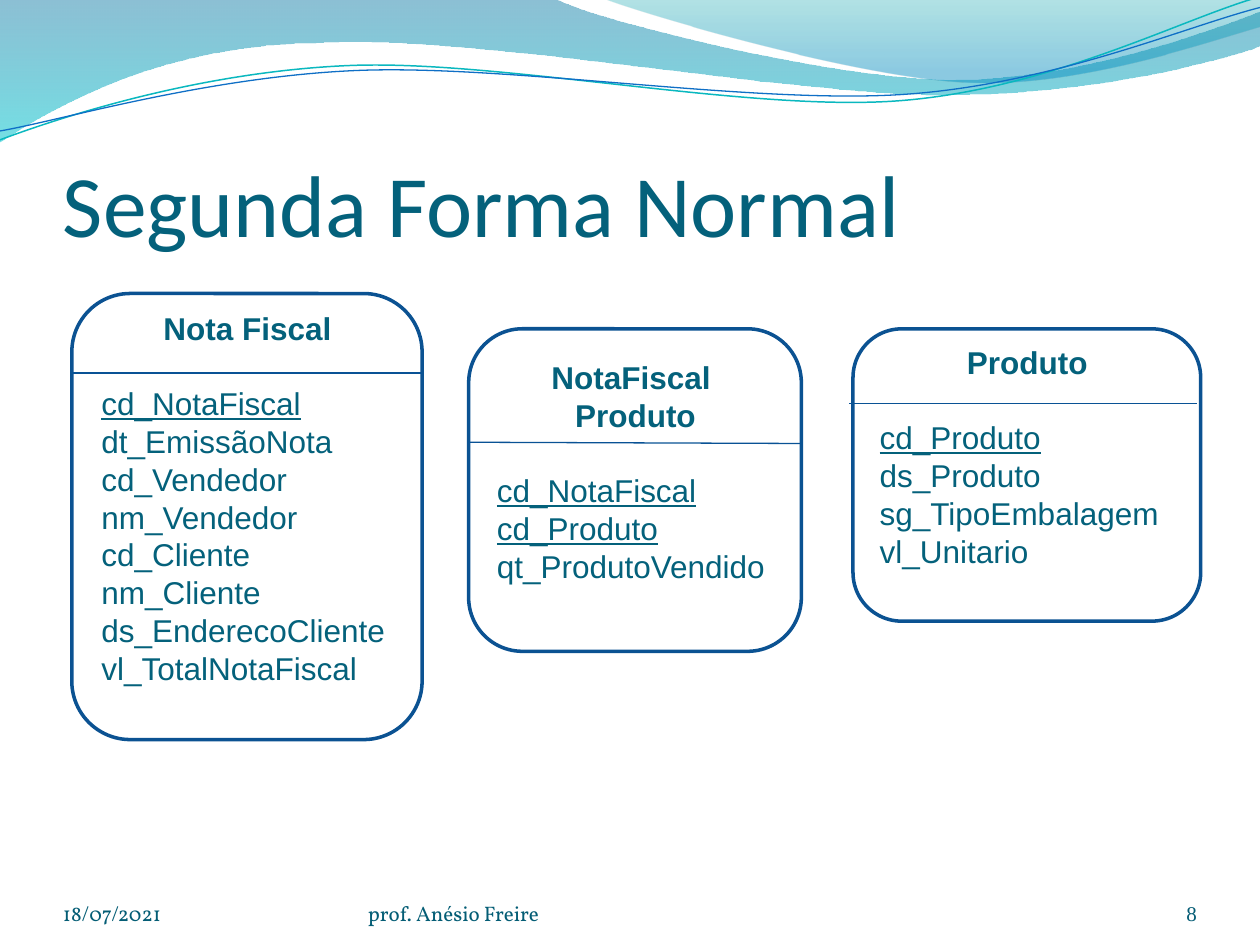
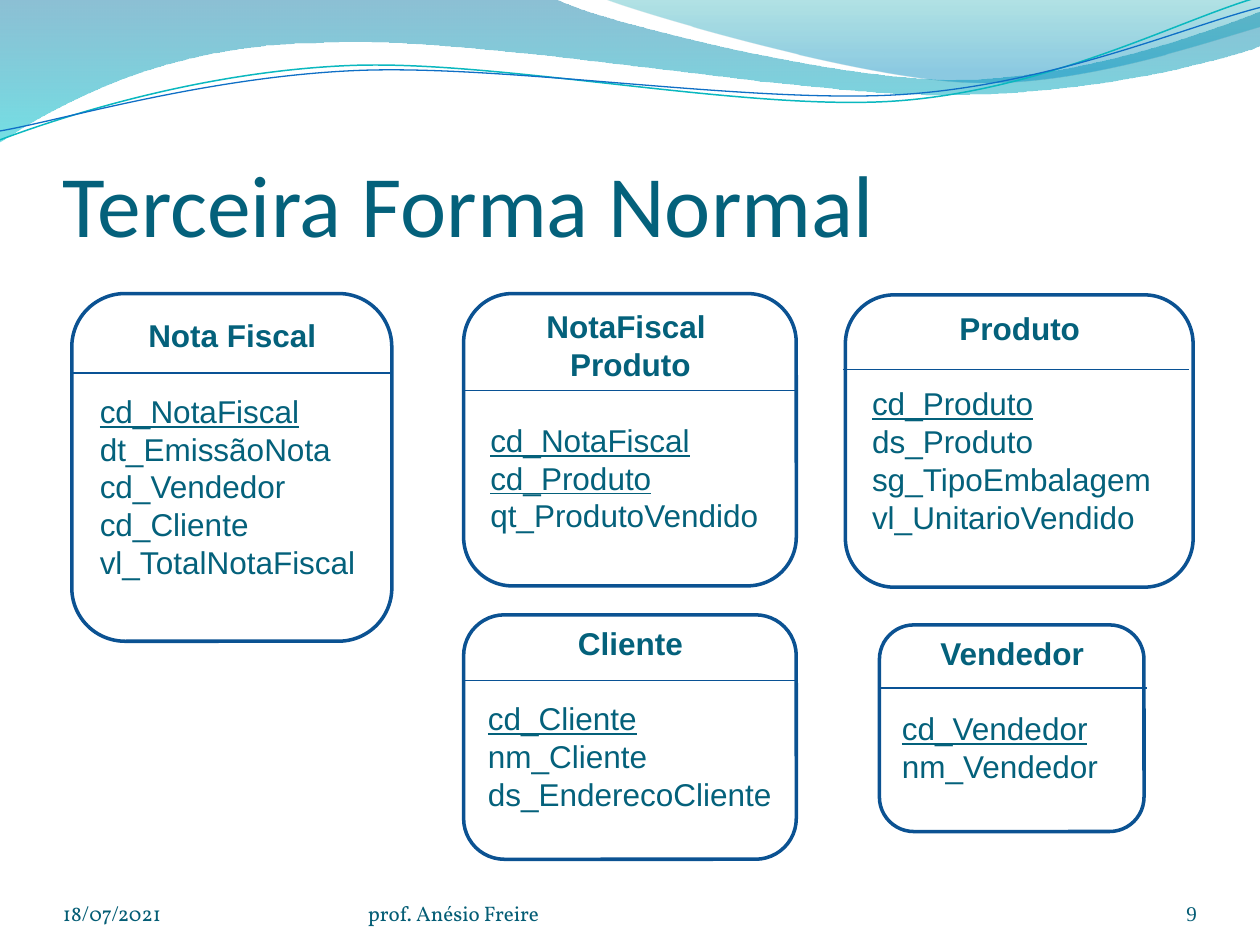
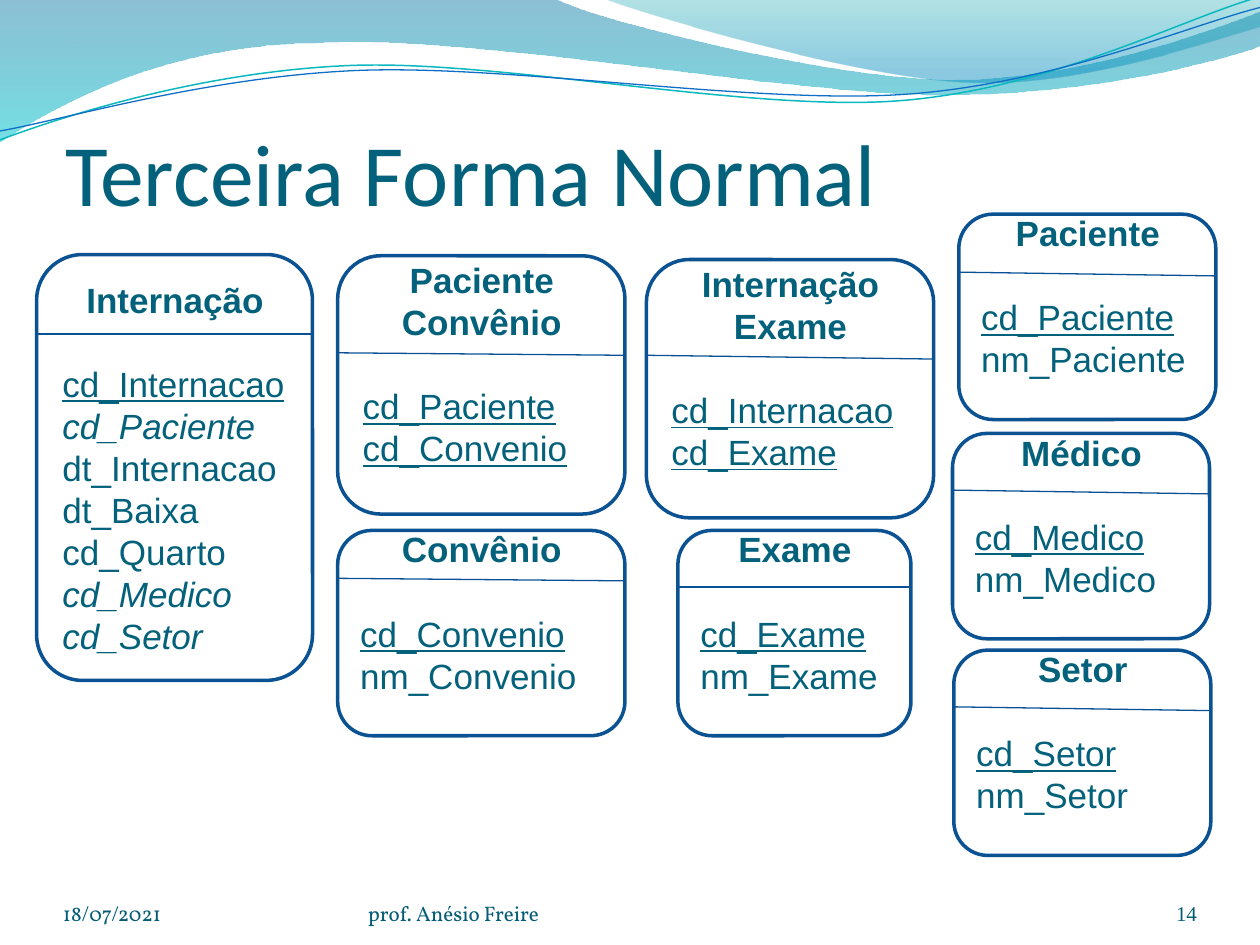
from dataclasses import dataclass
from math import cos, radians, sin

from pptx import Presentation
from pptx.dml.color import RGBColor
from pptx.enum.shapes import MSO_CONNECTOR, MSO_SHAPE
from pptx.enum.text import MSO_ANCHOR, PP_ALIGN
from pptx.oxml.ns import qn
from pptx.util import Inches, Pt
from lxml import etree

ROUND = MSO_SHAPE.ROUNDED_RECTANGLE
STRAIGHT = MSO_CONNECTOR.STRAIGHT
BOTTOM, MIDDLE = MSO_ANCHOR.BOTTOM, MSO_ANCHOR.MIDDLE
LEFT, CENTER, RIGHT = PP_ALIGN.LEFT, PP_ALIGN.CENTER, PP_ALIGN.RIGHT

TEAL = RGBColor(0x04, 0x61, 0x7B)
FOOT = RGBColor(0x04, 0x5D, 0x75)
COUNT = RGBColor(0x04, 0x5C, 0x75)
EDGE = RGBColor(0x0B, 0x52, 0x92)
RULE = RGBColor(0x09, 0x52, 0x95)
AQUA = RGBColor(0x0A, 0xB8, 0xBF)
BLUE = RGBColor(0x0F, 0x6F, 0xC6)
DEEP = RGBColor(0x00, 0x74, 0xA1)
CYAN = RGBColor(0x00, 0xC6, 0xCF)
SEA = RGBColor(0x00, 0xA1, 0xA9)
SKY = RGBColor(0x00, 0x8B, 0xBF)

TILT = 2.7  # degrees by which the thin waves lean to the left

Point = tuple[float, float]
Box = tuple[float, float, float, float]


@dataclass(frozen=True)
class Wave:
    """Outline whose steps hold one point (line) or three (curve)."""
    start: Point
    steps: tuple[tuple[Point, ...], ...]
    stops: tuple[tuple[float, RGBColor, int], ...] = ()  # place, colour, opacity
    line: RGBColor | None = None
    width: float = 0.75
    pivot: Point | None = None  # centre of a tilted wave


@dataclass(frozen=True)
class Entity:
    name: tuple[str, ...]
    box: Box
    rule: float  # height of the line under the name
    keys: tuple[str, ...]
    fields: tuple[str, ...] = ()
    links: tuple[str, ...] = ()  # fields set in italics
    drop: float = 0  # fall of the rule from left to right
    shift: float = 0  # sideways offset of the rule
    extra: float = 0  # added length of the rule
    tail: int = 1  # free lines below the fields


@dataclass(frozen=True)
class Page:
    title: str
    number: str
    size: int
    items: tuple[Entity, ...]
    spot: Point = (0.5, 0.77)


WAVES = (
    Wave((0, -0.01), (
        ((4.4, -0.01),),
        ((4.76, 0.17), (6.64, 0.63), (7.58, 0.63)),
        ((8.53, 0.63), (9.58, 0.26), (10, 0.09)),
        ((10.01, 0.36),),
        ((9.83, 0.44), (8.7, 0.76), (7.46, 0.75)),
        ((6.22, 0.75), (3.82, 0.28), (2.57, 0.34)),
        ((1.29, 0.35), (0.46, 0.83), (-0.01, 1.13)),
        ((0, -0.01),),
    ), stops=((0, DEEP, 45), (1, CYAN, 55))),
    Wave((4.79, -0.01), (
        ((5.09, 0.11), (6.82, 0.62), (7.69, 0.65)),
        ((8.56, 0.69), (9.61, 0.32), (10, 0.21)),
        ((10, 0),),
        ((4.79, -0.01),),
    ), stops=((0, SEA, 30), (0.8, SKY, 45))),
    Wave((0, 1.11), (
        ((0.48, 0.93), (1.58, 0.57), (2.77, 0.52)),
        ((3.95, 0.47), (5.93, 0.89), (7.13, 0.8)),
        ((8.33, 0.71), (9.38, 0.15), (9.98, -0.02)),
    ), line=AQUA, width=0.85, pivot=(4.99, 0.58)),
    Wave((0, 1.04), (
        ((0.47, 0.96), (1.64, 0.61), (2.83, 0.56)),
        ((4.03, 0.51), (5.97, 0.83), (7.17, 0.75)),
        ((8.36, 0.67), (9.41, 0.21), (10, 0.06)),
    ), line=BLUE, pivot=(5, 0.59)),
)

SALE = ("NotaFiscal ", "Produto")
SALE_KEYS = ("cd_NotaFiscal", "cd_Produto")
SOLD = ("qt_ProdutoVendido",)
GOODS = ("ds_Produto", "sg_TipoEmbalagem")
ISSUE = "dt_EmissãoNota cd_Vendedor"

PAGES = (
    Page("Segunda Forma Normal", "8", 18, (
        Entity(("Nota Fiscal",), (0.57, 2.33, 2.78, 3.54), 2.96, ("cd_NotaFiscal",),
               (ISSUE, "nm_Vendedor", "cd_Cliente", "nm_Cliente",
                "ds_EnderecoCliente", "vl_TotalNotaFiscal")),
        Entity(SALE, (3.72, 2.61, 2.64, 2.56), 3.51, SALE_KEYS, SOLD, drop=0.01),
        Entity(("Produto",), (6.77, 2.61, 2.76, 2.32), 3.2, ("cd_Produto",),
               GOODS + ("vl_Unitario",), shift=-0.03),
    )),
    Page("Terceira Forma Normal", "9", 18, (
        Entity(("Nota Fiscal",), (0.57, 2.33, 2.54, 2.76), 2.96, ("cd_NotaFiscal",),
               (ISSUE, "cd_Cliente", "vl_TotalNotaFiscal")),
        Entity(SALE, (3.68, 2.33, 2.64, 2.32), 3.1, SALE_KEYS, SOLD),
        Entity(("Produto",), (6.71, 2.34, 2.76, 2.32), 2.93, ("cd_Produto",),
               GOODS + ("vl_UnitarioVendido",), shift=-0.02, extra=-0.01),
        Entity(("Cliente",), (3.68, 4.88, 2.64, 1.94), 5.4, ("cd_Cliente",),
               ("nm_Cliente", "ds_EnderecoCliente")),
        Entity(("Vendedor",), (6.98, 4.96, 2.1, 1.64), 5.46, ("cd_Vendedor",),
               ("nm_Vendedor",), extra=0.02),
    )),
    Page("Terceira Forma Normal", "14", 20, (
        Entity(("Internação",), (0.29, 2.02, 2.19, 3.38), 2.65, ("cd_Internacao",),
               ("cd_Paciente", "dt_Internacao", "dt_Baixa", "cd_Quarto",
                "cd_Medico", "cd_Setor"),
               links=("cd_Paciente", "cd_Medico", "cd_Setor"), tail=0),
        Entity(("Paciente", "Convênio"), (2.68, 2.03, 2.28, 2.05), 2.8,
               ("cd_Paciente", "cd_Convenio"), drop=0.02),
        Entity(("Internação", "Exame"), (5.13, 2.06, 2.28, 2.05), 2.82,
               ("cd_Internacao", "cd_Exame"), drop=0.03),
        Entity(("Convênio",), (2.68, 4.21, 2.28, 1.63), 4.59, ("cd_Convenio",),
               ("nm_Convenio",), drop=0.02),
        Entity(("Exame",), (5.38, 4.21, 1.85, 1.63), 4.66, ("cd_Exame",),
               ("nm_Exame",)),
        Entity(("Paciente",), (7.61, 1.7, 2.04, 1.63), 2.16, ("cd_Paciente",),
               ("nm_Paciente",), drop=0.03),
        Entity(("Médico",), (7.56, 3.44, 2.04, 1.63), 3.89, ("cd_Medico",),
               ("nm_Medico",), drop=0.03),
        Entity(("Setor",), (7.57, 5.16, 2.04, 1.63), 5.61, ("cd_Setor",),
               ("nm_Setor",), drop=0.03),
    ), spot=(0.52, 0.53)),
)


def turn(spot: Point, pivot: Point) -> Point:
    """Level a point of a tilted wave."""
    x, y = spot[0] - pivot[0], spot[1] - pivot[1]
    c, s = cos(radians(TILT)), sin(radians(TILT))
    return pivot[0] + x * c - y * s, pivot[1] + x * s + y * c


def bend(shape, steps: tuple[tuple[Point, ...], ...]) -> None:
    """Join the three line ends of each curved step into one cubic curve."""
    ends = iter(list(shape.element.iter(qn("a:lnTo"))))
    for step in steps:
        first, *rest = [next(ends) for _ in step]
        if rest:
            first.tag = qn("a:cubicBezTo")
            for end in rest:
                first.append(end[0])
                end.getparent().remove(end)


def draw_wave(slide, wave: Wave) -> None:
    spots = [wave.start, *(spot for step in wave.steps for spot in step)]
    if wave.pivot:
        spots = [turn(spot, wave.pivot) for spot in spots]
    dots = [(Inches(x), Inches(y)) for x, y in spots]
    pen = slide.shapes.build_freeform(*dots[0])
    pen.add_line_segments(dots[1:], close=bool(wave.stops))
    shape = pen.convert_to_shape()
    bend(shape, wave.steps)
    shape.shadow.inherit = False
    if wave.line is not None:
        shape.rotation = -TILT
        shape.fill.background()
        shape.line.color.rgb = wave.line
        shape.line.width = Pt(wave.width)
        return
    shape.line.fill.background()
    shape.fill.gradient()
    shape.fill.gradient_angle = 270
    for stop, (place, color, _) in zip(shape.fill.gradient_stops, wave.stops):
        stop.position = place
        stop.color.rgb = color
    # Opacity of each gradient stop
    tints = shape.element.spPr.iter(qn("a:srgbClr"))
    for tint, (_, _, alpha) in zip(tints, wave.stops):
        etree.SubElement(tint, qn("a:alpha")).set("val", str(alpha * 1000))


def set_font(para, name: str, size: float, color: RGBColor) -> None:
    for run in para.runs:
        run.font.name = name
        run.font.size = Pt(size)
        run.font.color.rgb = color


def add_label(slide, text: str, box: Box, font: str, size: float,
              color: RGBColor, align=LEFT, top: float = 0) -> None:
    frame = slide.shapes.add_textbox(*map(Inches, box)).text_frame
    frame.word_wrap = True
    frame.vertical_anchor = BOTTOM
    frame.margin_left = frame.margin_right = frame.margin_bottom = 0
    frame.margin_top = Inches(top)
    frame.text = text
    para = frame.paragraphs[0]
    para.alignment = align
    set_font(para, font, size, color)


def add_entity(slide, item: Entity, size: int) -> None:
    lead = Pt(size * 1.2)
    shape = slide.shapes.add_shape(ROUND, *map(Inches, item.box))
    shape.shadow.inherit = False
    shape.fill.background()
    shape.line.color.rgb = EDGE
    shape.line.width = Pt(2)

    # Name, then key fields, then the others
    frame = shape.text_frame
    frame.word_wrap = True
    frame.vertical_anchor = MIDDLE
    frame.margin_right = Inches(0.09)
    frame.margin_bottom = Inches(0.05) + item.tail * lead
    frame.text = "\n".join(item.name + item.keys + item.fields)
    heads = len(item.name)
    for index, para in enumerate(frame.paragraphs):
        head = index < heads
        para.alignment = CENTER if head else LEFT
        para.line_spacing = lead
        if index == heads - 1:
            para.space_after = lead
        set_font(para, "Arial", size, TEAL)
        for run in para.runs:
            run.font.bold = head
            run.font.underline = heads <= index < heads + len(item.keys)
            run.font.italic = not head and run.text in item.links

    # Rule under the name
    left = item.box[0] + item.shift
    right = left + item.box[2] + item.extra
    ends = (left, item.rule, right, item.rule + item.drop)
    rule = slide.shapes.add_connector(STRAIGHT, *map(Inches, ends))
    rule.line.color.rgb = RULE
    rule.line.width = Pt(0.75)
    etree.SubElement(rule.element.spPr, qn("a:effectLst"))


def add_page(deck, page: Page) -> None:
    slide = deck.slides.add_slide(deck.slide_layouts[6])
    for wave in WAVES:
        draw_wave(slide, wave)
    add_label(slide, page.title, (*page.spot, 9, 1.25), "Calibri", 50, TEAL, top=0.05)
    # Footer
    add_label(slide, "18/07/2021", (0.5, 6.95, 2.33, 0.4), "Vollkorn", 12, FOOT)
    add_label(slide, "prof. Anésio Freire", (2.92, 6.95, 3.67, 0.4),
              "Vollkorn", 12, FOOT)
    add_label(slide, page.number, (8.67, 6.95, 0.83, 0.4),
              "Times New Roman", 12, COUNT, RIGHT)
    for item in page.items:
        add_entity(slide, item, page.size)


def main() -> None:
    deck = Presentation()
    deck.slide_width, deck.slide_height = Inches(10), Inches(7.5)
    for page in PAGES:
        add_page(deck, page)
    deck.save("out.pptx")


if __name__ == "__main__":
    main()
